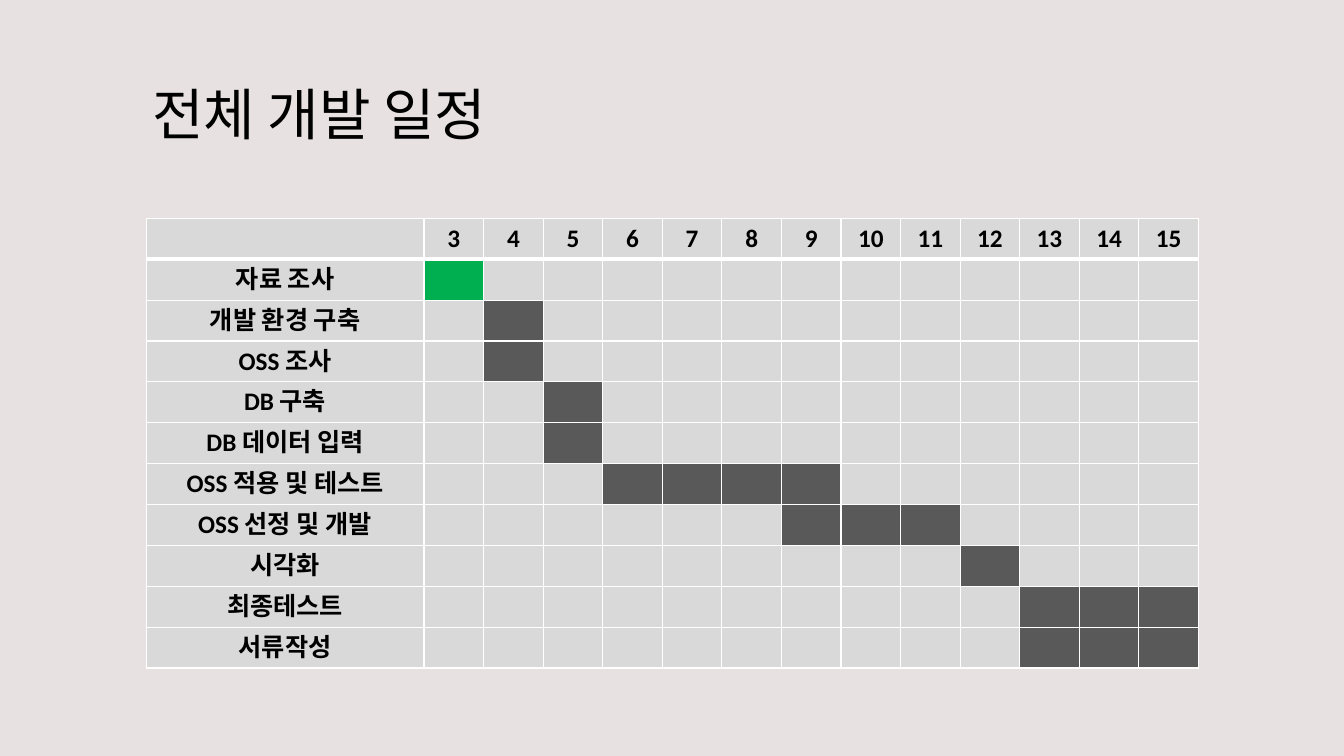
from lxml import etree
from pptx import Presentation
from pptx import util as u
from pptx.dml.color import RGBColor
from pptx.enum import text
from pptx.oxml.ns import qn

Pt = u.Pt
COLORS = {"bg": "E7E2E1", "cell": "D9D9D9", "done": "00B050",
          "planned": "595959", "line": "FFFFFF", "text": "000000"}


def rgb(name):
    return RGBColor.from_string(COLORS[name])


def write(tf, content, size=18, bold=False, color="text", font="Calibri",
          align=text.PP_ALIGN.LEFT):
    p = tf.paragraphs[0]
    p.alignment = align
    r = p.add_run()
    r.text = content
    r.font.size, r.font.bold, r.font.name = Pt(size), bold, font
    r.font.color.rgb = rgb(color)
    # Use the same font for Korean text
    ea = etree.SubElement(r.font._element, qn("a:ea"))
    ea.set("typeface", font)


def set_border(cell, side, width):
    ln = etree.Element(qn(f"a:ln{side}"), w=str(Pt(width)))
    fill = etree.SubElement(ln, qn("a:solidFill"))
    etree.SubElement(fill, qn("a:srgbClr"), val=COLORS["line"])
    return ln


class Deck:
    def __init__(self, width, height):
        self.prs = Presentation()
        self.prs.slide_width, self.prs.slide_height = Pt(width), Pt(height)

    def add_slide(self):
        self.s = self.prs.slides.add_slide(self.prs.slide_layouts[6])
        self.s.background.fill.solid()
        self.s.background.fill.fore_color.rgb = rgb("bg")

    def title(self, content, x, y, w, h, indent):
        tf = self.s.shapes.add_textbox(Pt(x), Pt(y), Pt(w), Pt(h)).text_frame
        tf.word_wrap = True
        tf.auto_size = text.MSO_AUTO_SIZE.SHAPE_TO_FIT_TEXT
        tf.margin_left = Pt(indent)
        write(tf, content, size=40)

    def cell(self, cell, content="", fill="cell", top=1, bottom=1, middle=False):
        if content:
            write(cell.text_frame, content, bold=True, align=text.PP_ALIGN.CENTER)
        if middle:
            cell.vertical_anchor = text.MSO_ANCHOR.MIDDLE
        cell.fill.solid()
        cell.fill.fore_color.rgb = rgb(fill)
        # Borders come before the fill in the cell properties
        widths = {"L": 1, "R": 1, "T": top, "B": bottom}
        for i, (side, width) in enumerate(widths.items()):
            cell._tc.tcPr.insert(i, set_border(cell, side, width))

    def schedule(self, weeks, tasks, x, y, label_w, week_w, row_h):
        n_rows, n_cols = len(tasks) + 1, len(weeks) + 1
        table = self.s.shapes.add_table(
            n_rows, n_cols, Pt(x), Pt(y),
            Pt(label_w + week_w * len(weeks)), Pt(row_h * n_rows)).table
        table.first_row = table.horz_banding = False
        for i, col in enumerate(table.columns):
            col.width = Pt(week_w if i else label_w)
        for row in table.rows:
            row.height = Pt(row_h)

        # Header row
        for i, label in enumerate(["", *weeks]):
            self.cell(table.cell(0, i), str(label), bottom=3, middle=True)

        # Task rows with their bars
        for i, (name, first, last, status) in enumerate(tasks, 1):
            top = 3 if i == 1 else 1
            self.cell(table.cell(i, 0), name, top=top)
            for j, week in enumerate(weeks, 1):
                fill = status if first <= week <= last else "cell"
                self.cell(table.cell(i, j), fill=fill, top=top)


# Task, first week, last week, status
TASKS = [
    ("자료 조사", 3, 3, "done"),
    ("개발 환경 구축", 4, 4, "planned"),
    ("OSS 조사", 4, 4, "planned"),
    ("DB 구축", 5, 5, "planned"),
    ("DB 데이터 입력", 5, 5, "planned"),
    ("OSS 적용 및 테스트", 6, 9, "planned"),
    ("OSS 선정 및 개발", 9, 11, "planned"),
    ("시각화", 12, 12, "planned"),
    ("최종테스트", 13, 15, "planned"),
    ("서류작성", 13, 15, "planned"),
]

deck = Deck(960, 540)
deck.add_slide()
deck.title("전체 개발 일정", 87, 53.3, 320, 55.4, indent=21.7)
deck.schedule(range(3, 16), TASKS, x=104.4, y=156, label_w=198.5,
              week_w=42.55, row_h=29.2)
deck.prs.save("out.pptx")
